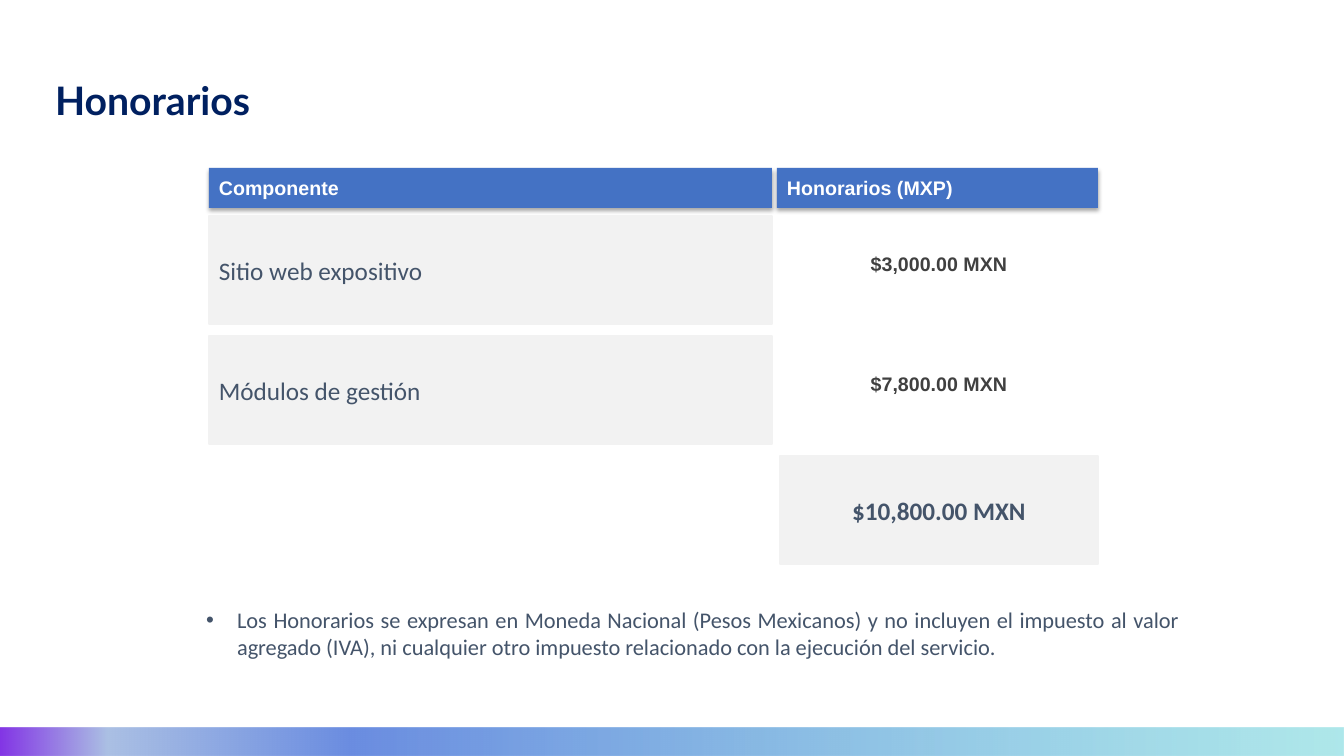
from dataclasses import dataclass
from typing import Optional

from lxml.etree import SubElement
from pptx import Presentation
from pptx.dml.color import RGBColor
from pptx.enum.shapes import MSO_SHAPE
from pptx.enum.text import MSO_ANCHOR, MSO_AUTO_SIZE, PP_ALIGN
from pptx.oxml.ns import qn
from pptx.util import Emu, Pt

PX_PER_INCH = 100.8
NAVY = RGBColor(0x00, 0x20, 0x60)
BLUE = RGBColor(0x44, 0x72, 0xC4)
GREY = RGBColor(0xF2, 0xF2, 0xF2)
SLATE = RGBColor(0x44, 0x54, 0x6A)
CHARCOAL = RGBColor(0x40, 0x40, 0x40)
WHITE = RGBColor(0xFF, 0xFF, 0xFF)
BLACK = RGBColor(0x00, 0x00, 0x00)
AQUA = RGBColor(0x81, 0xDB, 0xDF)
PERIWINKLE = RGBColor(0x6B, 0x8D, 0xE1)
PALE_BLUE = RGBColor(0xAB, 0xC0, 0xE4)
VIOLET = RGBColor(0x83, 0x35, 0xE5)

ROW_TOP, ROW_PITCH, ROW_HEIGHT, AMOUNT_HEIGHT = 216, 120, 108, 95
COMPONENT_LEFT, COMPONENT_WIDTH = 209, 563
AMOUNT_LEFT, AMOUNT_WIDTH = 780, 318
HEADER_TOP, HEADER_HEIGHT = 168, 40
FEES = [("Sitio web expositivo", "$3,000.00 MXN"), ("Módulos de gestión", "$7,800.00 MXN")]


@dataclass(frozen=True)
class Style:
    font: str
    size: int
    color: RGBColor
    bold: bool = False
    alignment: PP_ALIGN = PP_ALIGN.LEFT
    fill: Optional[RGBColor] = None
    line: Optional[RGBColor] = None
    shadow: bool = False


@dataclass(frozen=True)
class Cell:
    text: str
    left: int
    top: int
    width: int
    height: int
    style: Style


HEADER = Style("Arial", 14, WHITE, bold=True, fill=BLUE, shadow=True)
COMPONENT = Style("Calibri", 18, SLATE, fill=GREY, line=GREY)
AMOUNT = Style("Arial", 14, CHARCOAL, bold=True, alignment=PP_ALIGN.CENTER)
TOTAL = Style("Calibri", 18, SLATE, True, PP_ALIGN.CENTER, GREY, GREY)
TITLE = Style("Lato", 28, NAVY, bold=True)
NOTE = Style("Calibri", 16, SLATE, alignment=PP_ALIGN.JUSTIFY)


def px(value: int) -> Emu:
    return Emu(round(value * 914400 / PX_PER_INCH))


def place(shape, left: int, top: int, width: int, height: int) -> None:
    shape.left, shape.top = px(left), px(top)
    shape.width, shape.height = px(width), px(height)


def write(shape, text: str, style: Style, anchor: MSO_ANCHOR = MSO_ANCHOR.MIDDLE):
    frame = shape.text_frame
    frame.word_wrap = True
    frame.auto_size = MSO_AUTO_SIZE.NONE
    frame.vertical_anchor = anchor
    paragraph = frame.paragraphs[0]
    paragraph.text = text
    paragraph.alignment = style.alignment
    paragraph.space_before = Pt(0)
    paragraph.font.name = style.font
    paragraph.font.size = Pt(style.size)
    paragraph.font.bold = style.bold
    paragraph.font.color.rgb = style.color
    return paragraph


def add_color(parent, color: RGBColor, opacity: int) -> None:
    element = SubElement(parent, qn("a:srgbClr"), val=str(color))
    if opacity < 100:
        SubElement(element, qn("a:alpha"), val=str(opacity * 1000))


def add_shadow(shape) -> None:
    effects = shape._element.spPr.find(qn("a:effectLst"))
    shadow = SubElement(effects, qn("a:outerShdw"), blurRad=str(Pt(3.1)),
                        dist=str(Pt(1.8)), dir="5400000", rotWithShape="0")
    add_color(shadow, BLACK, 35)


def add_cell(slide, cell: Cell) -> None:
    bounds = [px(value) for value in (cell.left, cell.top, cell.width, cell.height)]
    style = cell.style
    if style.fill is None:
        shape = slide.shapes.add_textbox(*bounds)
    else:
        shape = slide.shapes.add_shape(MSO_SHAPE.RECTANGLE, *bounds)
        shape.shadow.inherit = False
        shape.fill.solid()
        shape.fill.fore_color.rgb = style.fill
        if style.line is None:
            shape.line.fill.background()
        else:
            shape.line.color.rgb = style.line
            shape.line.width = Pt(1)
        if style.shadow:
            add_shadow(shape)
    write(shape, cell.text, style)


def add_title(slide) -> None:
    title = slide.shapes.title
    place(title, 55, 41, 1159, 108)
    frame = title.text_frame
    frame.margin_left = frame.margin_right = frame.margin_top = frame.margin_bottom = 0
    write(title, "Honorarios", TITLE).line_spacing = Pt(40)


def add_footer_band(slide) -> None:
    band = slide.shapes.add_shape(MSO_SHAPE.RECTANGLE, 0, px(728), px(1344), px(28))
    band.shadow.inherit = False
    band.line.fill.background()
    band.fill.gradient()
    band.fill.gradient_angle = 180
    stops = band._element.spPr.find(qn("a:gradFill")).find(qn("a:gsLst"))
    for stop in list(stops):
        stops.remove(stop)
    for position, color, opacity in [(0, AQUA, 63), (74, PERIWINKLE, 100),
                                     (92, PALE_BLUE, 100), (100, VIOLET, 100)]:
        add_color(SubElement(stops, qn("a:gs"), pos=str(position * 1000)), color, opacity)


def add_note(slide) -> None:
    note = slide.placeholders[1]
    place(note, 196, 601, 994, 70)
    paragraph = write(
        note,
        "Los Honorarios se expresan en Moneda Nacional (Pesos Mexicanos) y no incluyen "
        "el impuesto al valor agregado (IVA), ni cualquier otro impuesto relacionado "
        "con la ejecución del servicio.",
        NOTE, MSO_ANCHOR.TOP)
    properties = paragraph._p.get_or_add_pPr()
    properties.set("marL", str(px(31)))
    properties.set("indent", str(-px(31)))
    SubElement(properties, qn("a:buFont"), typeface="Arial")
    SubElement(properties, qn("a:buChar"), char="•")
    properties.append(properties.find(qn("a:defRPr")))


def fee_cells() -> list[Cell]:
    cells = [
        Cell("Componente", COMPONENT_LEFT, HEADER_TOP, COMPONENT_WIDTH, HEADER_HEIGHT, HEADER),
        Cell("Honorarios (MXP)", 777, HEADER_TOP, 321, HEADER_HEIGHT, HEADER),
    ]
    for row, (component, amount) in enumerate(FEES):
        top = ROW_TOP + row * ROW_PITCH
        cells.append(Cell(amount, AMOUNT_LEFT, top, AMOUNT_WIDTH, AMOUNT_HEIGHT, AMOUNT))
        cells.append(Cell(component, COMPONENT_LEFT, top, COMPONENT_WIDTH, ROW_HEIGHT, COMPONENT))
    total_top = ROW_TOP + len(FEES) * ROW_PITCH
    cells.append(Cell("$10,800.00 MXN", AMOUNT_LEFT, total_top, AMOUNT_WIDTH, ROW_HEIGHT, TOTAL))
    return cells


def main() -> None:
    presentation = Presentation()
    presentation.slide_width, presentation.slide_height = px(1344), px(756)
    slide = presentation.slides.add_slide(presentation.slide_layouts[1])
    add_title(slide)
    add_footer_band(slide)
    for cell in fee_cells():
        add_cell(slide, cell)
    add_note(slide)
    presentation.save("out.pptx")


if __name__ == "__main__":
    main()
